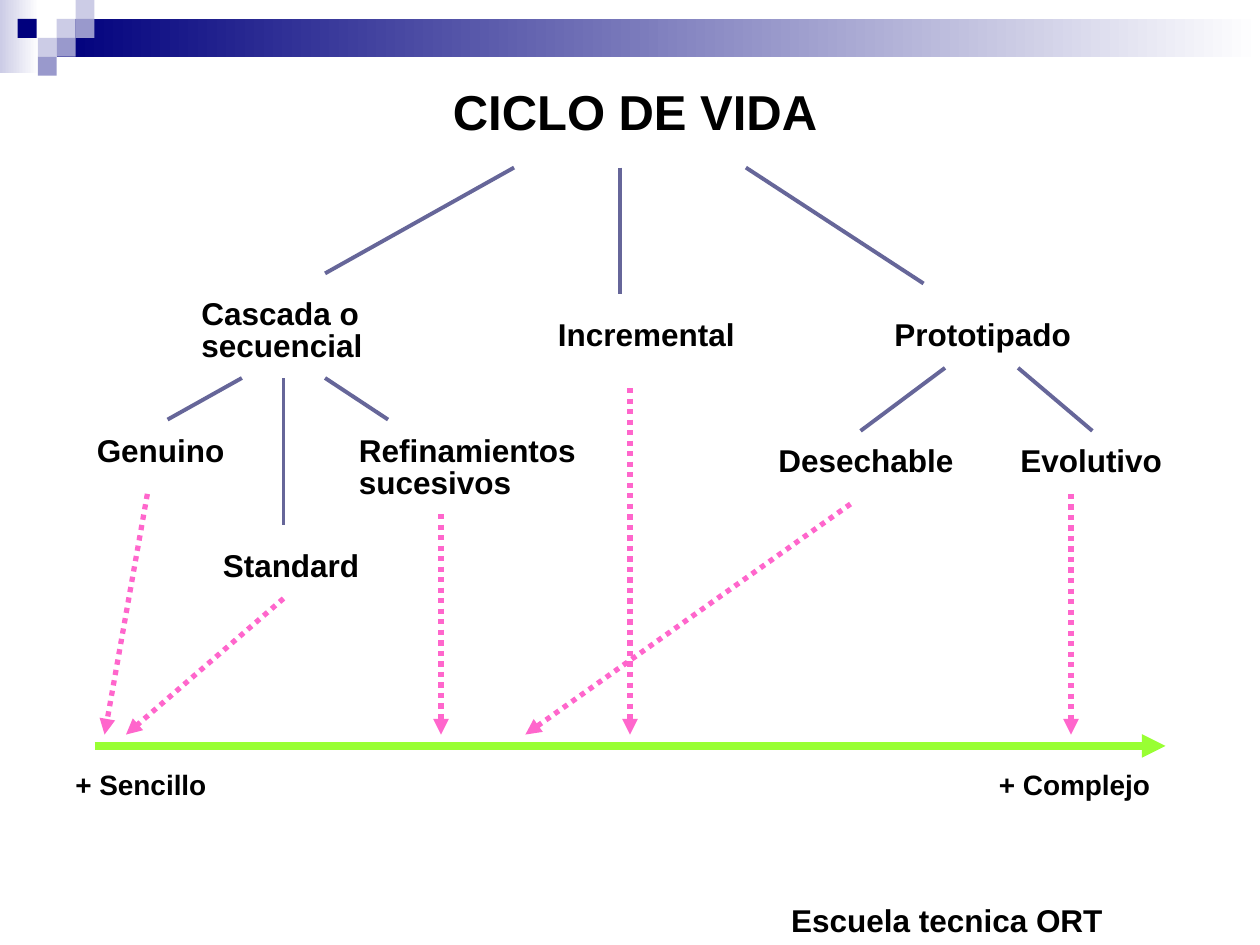
from lxml.etree import SubElement
from pptx import Presentation
from pptx.dml.color import RGBColor
from pptx.enum.dml import MSO_LINE
from pptx.enum.shapes import MSO_CONNECTOR, MSO_SHAPE
from pptx.enum.text import MSO_ANCHOR, PP_ALIGN
from pptx.oxml.ns import qn
from pptx.util import Inches, Pt


def color(code):
    return RGBColor.from_string(code)


def link(ends, code, width, dash=None, arrow=False):
    line = slide.shapes.add_connector(MSO_CONNECTOR.STRAIGHT, *[Inches(v) for v in ends])
    line.line.color.rgb = color(code)
    line.line.width = Pt(width)
    if dash:
        line.line.dash_style = dash
    if arrow:
        SubElement(line.line._get_or_add_ln(), qn("a:tailEnd"), type="triangle")
    SubElement(line._element.spPr, qn("a:effectLst"))


deck = Presentation()
deck.slide_width = Inches(10)
deck.slide_height = Inches(7.5)
slide = deck.slides.add_slide(deck.slide_layouts[6])

navy, pale, mid = "00007D", "CCCCE6", "9999CC"
side = 0.15
blocks = [
    (0, 0, 0.31, 0.58, pale, True),
    (0.45, 0.15, 9.55, 0.3, navy, True),
    (0.45, 0.15, side, side, pale, False),
    (0.6, 0, side, side, pale, False),
    (0.6, 0.15, side, side, mid, False),
    (0.3, 0.3, side, side, pale, False),
    (0.14, 0.15, side, side, navy, False),
    (0.45, 0.3, side, side, mid, False),
    (0.3, 0.45, side, side, mid, False),
]
for left, top, width, height, code, fade in blocks:
    block = slide.shapes.add_shape(
        MSO_SHAPE.RECTANGLE, Inches(left), Inches(top), Inches(width), Inches(height))
    block.shadow.inherit = False
    block.line.fill.background()
    if fade:
        block.fill.gradient()
        block.fill.gradient_angle = 180
        for stop, tint in zip(block.fill.gradient_stops, ("FFFFFF", code)):
            stop.color.rgb = color(tint)
    else:
        block.fill.solid()
        block.fill.fore_color.rgb = color(code)

left, center = PP_ALIGN.LEFT, PP_ALIGN.CENTER
top, middle = MSO_ANCHOR.TOP, MSO_ANCHOR.MIDDLE
labels = [
    ("Escuela tecnica ORT", 6.18, 7.1, 3.45, 0.4, 18, 1, left, middle),
    ("Cascada o secuencial", 1.5, 2.33, 1.83, 0.61, 18, 0.85, left, top),
    ("Incremental", 4.33, 2.5, 1.83, 0.36, 18, 0.85, left, top),
    ("Prototipado", 7, 2.5, 1.83, 0.36, 18, 0.85, left, top),
    ("Genuino", 0.67, 3.42, 1.83, 0.36, 18, 0.85, left, top),
    ("Standard", 1.67, 4.33, 1.83, 0.36, 18, 0.85, left, top),
    ("Refinamientos sucesivos", 2.75, 3.42, 2, 0.61, 18, 0.85, left, top),
    ("Desechable", 6.08, 3.5, 1.83, 0.36, 18, 0.85, left, top),
    ("Evolutivo", 8, 3.5, 1.83, 0.36, 18, 0.85, left, top),
    ("+ Sencillo", 0.5, 6.08, 1.83, 0.33, 16, 0.85, left, top),
    ("+ Complejo", 7.83, 6.08, 1.67, 0.33, 16, 0.85, left, top),
    ("CICLO DE VIDA", 2.08, 0.67, 5.92, 0.5, 28, 0.85, center, top),
]
for words, x, y, width, height, size, space, align, anchor in labels:
    box = slide.shapes.add_textbox(Inches(x), Inches(y), Inches(width), Inches(height))
    frame = box.text_frame
    frame.word_wrap = True
    frame.vertical_anchor = anchor
    para = frame.paragraphs[0]
    para.alignment = align
    para.line_spacing = space
    run = para.add_run()
    run.text = words
    run.font.name = "Arial"
    run.font.size = Pt(size)
    run.font.bold = True
    run.font.color.rgb = color("000000")

link((0.75, 5.92, 9.25, 5.92), "99FF33", 4.5, arrow=True)

branches = [
    (4.08, 1.33, 2.58, 2.17),
    (4.92, 1.33, 4.92, 2.33),
    (5.92, 1.33, 7.33, 2.25),
    (1.92, 3, 1.33, 3.33),
    (2.25, 3, 2.25, 4.17),
    (2.58, 3, 3.08, 3.33),
    (7.5, 2.92, 6.83, 3.42),
    (8.08, 2.92, 8.67, 3.42),
]
for ends in branches:
    link(ends, "666699", 2.25)

drops = [
    (1.17, 3.92, 0.83),
    (2.25, 4.75, 1),
    (3.5, 4.08, 3.5),
    (5, 3.08, 5),
    (6.75, 4, 4.17),
    (8.5, 3.92, 8.5),
]
for x, y, end in drops:
    link((x, y, end, 5.83), "FF66CC", 3, MSO_LINE.ROUND_DOT, True)

deck.save("out.pptx")
